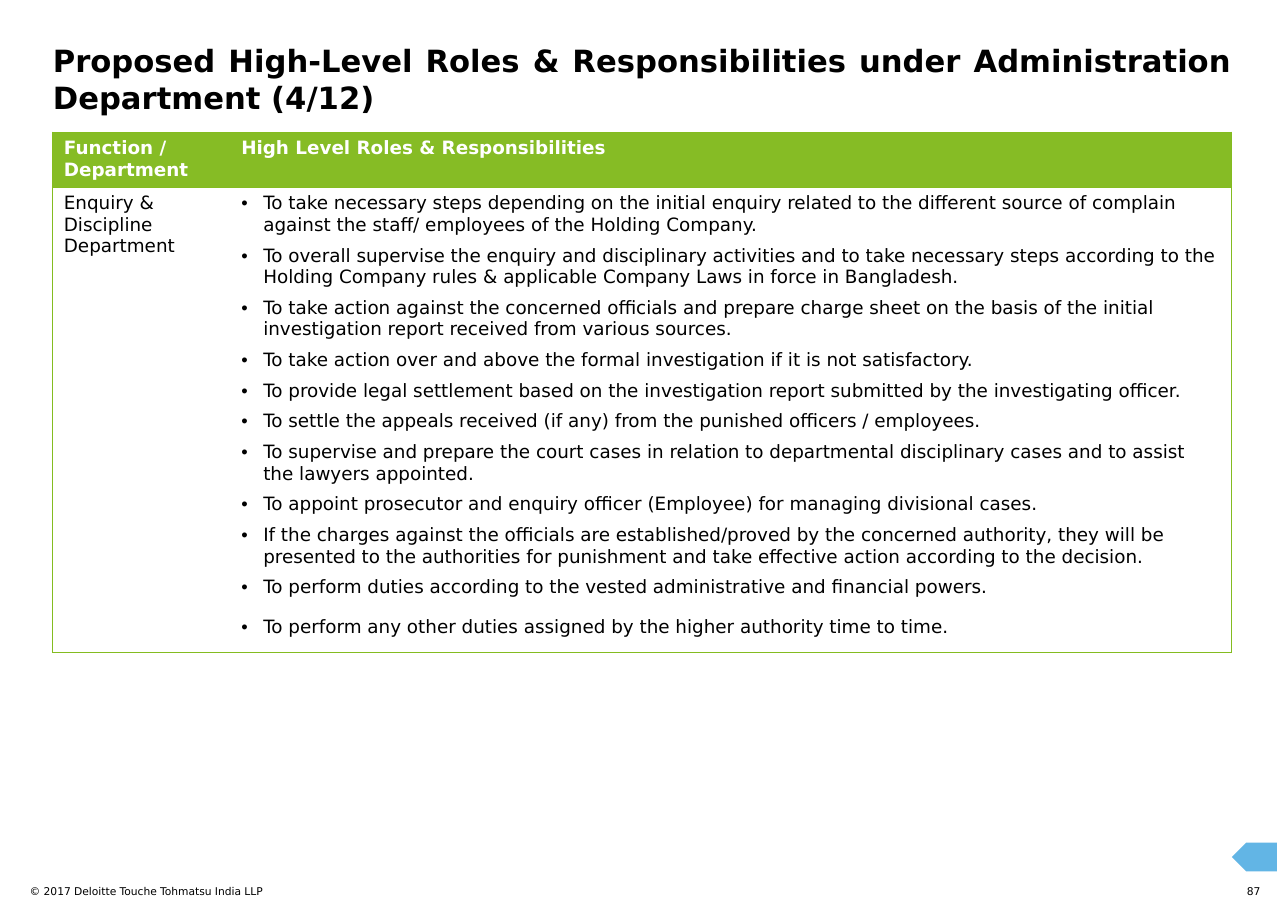
from dataclasses import dataclass

from lxml.etree import SubElement
from pptx import Presentation
from pptx.dml.color import RGBColor
from pptx.enum.shapes import MSO_SHAPE as Shape
from pptx.enum.text import PP_ALIGN as Align
from pptx.oxml.ns import qn
from pptx.slide import Slide
from pptx.table import _Cell as Cell
from pptx.util import Inches, Pt

FONT = "DejaVu Sans"
BLACK = RGBColor(0x00, 0x00, 0x00)
WHITE = RGBColor(0xFF, 0xFF, 0xFF)
GREEN = RGBColor(0x86, 0xBC, 0x25)
EDGE = RGBColor(0x84, 0xBC, 0x20)
BLUE = RGBColor(0x62, 0xB5, 0xE5)

DUTIES = [
    "To take necessary steps depending on the initial enquiry related to the different source of complain against the staff/ employees of the Holding Company.",
    "To overall supervise the enquiry and disciplinary activities and to take necessary steps according to the Holding Company rules & applicable Company Laws in force in Bangladesh.",
    "To take action against the concerned officials and prepare charge sheet on the basis of the initial investigation report received from various sources.",
    "To take action over and above the formal investigation if it is not satisfactory.",
    "To provide legal settlement based on the investigation report submitted by the investigating officer.",
    "To settle the appeals received (if any) from the punished officers / employees.",
    "To supervise and prepare the court cases in relation to departmental disciplinary cases and to assist the lawyers appointed.",
    "To appoint prosecutor and enquiry officer (Employee) for managing divisional cases.",
    "If the charges against the officials are established/proved by the concerned authority, they will be presented to the authorities for punishment and take effective action according to the decision.",
    "To perform duties according to the vested administrative and financial powers.",
    "To perform any other duties assigned by the higher authority time to time.",
]


@dataclass
class Label:
    """A plain text box."""
    text: str
    left: float
    top: float
    width: float
    height: float
    size: float
    bold: bool = False
    align: Align = Align.LEFT


@dataclass
class Entry:
    """A table cell with the sides that carry a line."""
    lines: list[str]
    sides: str
    head: bool = False
    list: bool = False


LABELS = [
    Label("Proposed High-Level Roles & Responsibilities under Administration Department (4/12)",
          0.48, 0.38, 10.7, 0.7, 20, True, Align.JUSTIFY),
    Label("© 2017 Deloitte Touche Tohmatsu India LLP", 0.27, 8.03, 5.13, 0.24, 7),
    Label("87", 11.14, 8.03, 0.3, 0.12, 7, align=Align.RIGHT),
]
ROWS = [
    [Entry(["Function / Department"], "LTB", head=True),
     Entry(["High Level Roles & Responsibilities"], "RTB", head=True)],
    [Entry(["Enquiry & Discipline Department"], "LTB"),
     Entry(DUTIES, "RTB", list=True)],
]


def style(para, size: float, bold: bool, color: RGBColor) -> None:
    """Set the font of a paragraph."""
    font = para.font
    font.name, font.size, font.bold = FONT, Pt(size), bold
    font.color.rgb = color


def add_label(slide: Slide, item: Label) -> None:
    """Draw a text box without insets."""
    box = slide.shapes.add_textbox(*map(Inches, (item.left, item.top, item.width, item.height)))
    frame = box.text_frame
    frame.word_wrap = True
    frame.margin_left = frame.margin_right = frame.margin_top = frame.margin_bottom = 0
    para = frame.paragraphs[0]
    para.text, para.alignment = item.text, item.align
    style(para, item.size, item.bold, BLACK)


def add_edges(cell: Cell, sides: str) -> None:
    """Line the given sides of a cell and clear the others."""
    props = cell._tc.get_or_add_tcPr()
    for side in "LRTB":
        line = SubElement(props, qn(f"a:ln{side}"), w=str(Pt(0.75)))
        if side in sides:
            fill = SubElement(line, qn("a:solidFill"))
            SubElement(fill, qn("a:srgbClr"), val=str(EDGE))
        else:
            SubElement(line, qn("a:noFill"))


def add_bullet(para) -> None:
    """Give a paragraph a hanging bullet."""
    props = para._p.get_or_add_pPr()
    props.set("marL", str(Inches(0.2)))
    props.set("indent", str(Inches(-0.2)))
    SubElement(props, qn("a:buFont"), typeface="Arial")
    SubElement(props, qn("a:buChar"), char="•")


def fill_cell(cell: Cell, entry: Entry) -> None:
    """Write and style one cell."""
    add_edges(cell, entry.sides)
    if entry.head:
        cell.fill.solid()
        cell.fill.fore_color.rgb = GREEN
    else:
        cell.fill.background()
    frame = cell.text_frame
    for rank, text in enumerate(entry.lines):
        para = frame.add_paragraph() if rank else frame.paragraphs[0]
        para.text = text
        if entry.list:
            add_bullet(para)
        if rank:
            para.space_before = Pt(6)
        if entry.list and rank == len(entry.lines) - 2:
            para.space_after = Pt(6)
        style(para, 12, entry.head, WHITE if entry.head else BLACK)


def add_roles(slide: Slide) -> None:
    """Draw the table of roles."""
    frame = slide.shapes.add_table(2, 2, *map(Inches, (0.48, 1.2, 10.7, 4.62)))
    table = frame.table
    table.horz_banding = False
    for col, width in zip(table.columns, (1.61, 9.09)):
        col.width = Inches(width)
    for row, height, items in zip(table.rows, (0.49, 4.13), ROWS):
        row.height = Inches(height)
        for cell, entry in zip(row.cells, items):
            fill_cell(cell, entry)


def add_tag(slide: Slide) -> None:
    """Draw the blue tag that points left."""
    tag = slide.shapes.add_shape(Shape.PENTAGON, *map(Inches, (11.18, 7.65, 0.41, 0.26)))
    tag.rotation = 180
    tag.shadow.inherit = False
    tag.fill.solid()
    tag.fill.fore_color.rgb = BLUE
    tag.line.fill.background()


def main() -> None:
    """Build and save the slide."""
    deck = Presentation()
    deck.slide_width, deck.slide_height = Inches(11.69), Inches(8.27)
    slide = deck.slides.add_slide(deck.slide_layouts[6])
    for item in LABELS:
        add_label(slide, item)
    add_roles(slide)
    add_tag(slide)
    deck.save("out.pptx")


if __name__ == "__main__":
    main()
